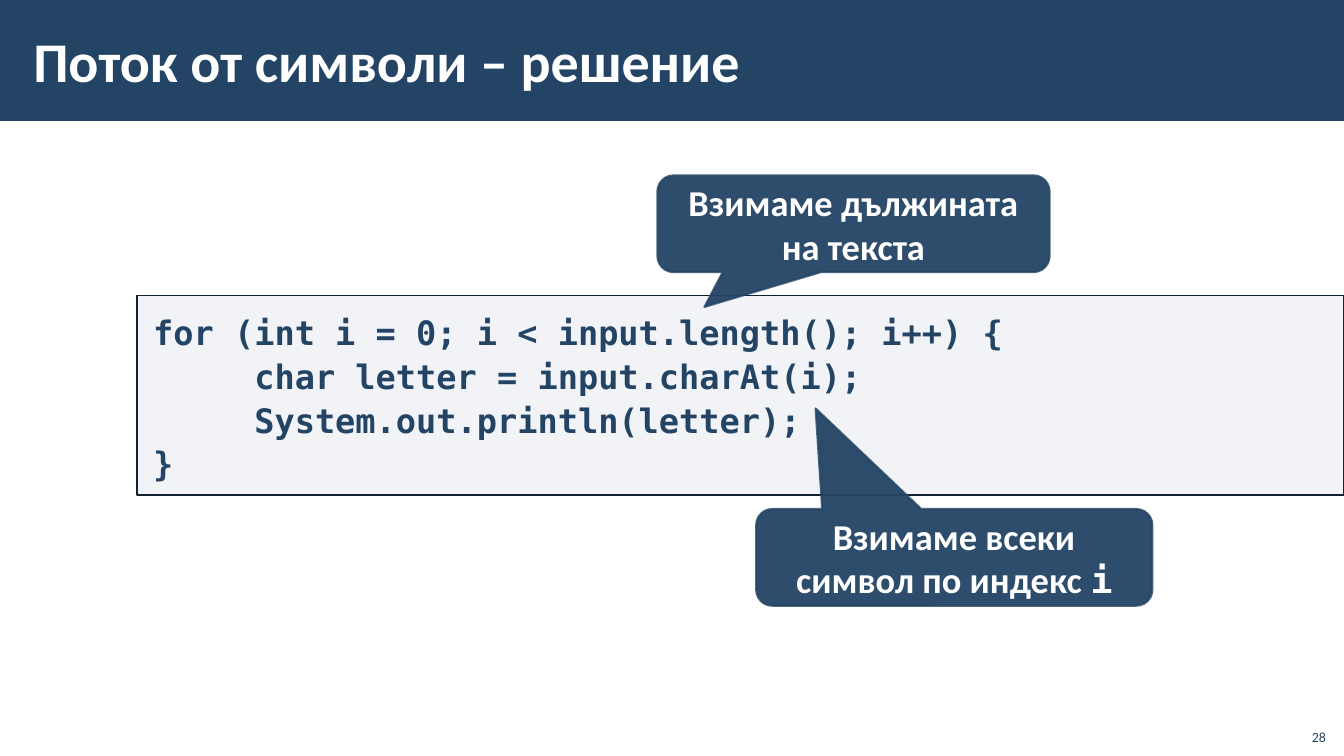
import dataclasses

import pptx
import pptx.dml.color
import pptx.enum.shapes
import pptx.enum.text
import pptx.oxml
import pptx.oxml.ns
import pptx.util
from pptx.util import Inches

ALIGN = pptx.enum.text.PP_ALIGN
ANCHOR = pptx.enum.text.MSO_ANCHOR
SHAPE = pptx.enum.shapes.MSO_SHAPE


@dataclasses.dataclass(frozen=True)
class Theme:
    navy: str = "234465"
    outline: str = "112233"
    code_fill: str = "ADB4C3"
    white: str = "FFFFFF"
    sans: str = "Calibri"
    mono: str = "DejaVu Sans Mono"
    title_size: int = 40
    callout_size: int = 26
    code_size: int = 24
    number_size: int = 10


THEME = Theme()

CODE_LINES = [
    "for (int i = 0; i < input.length(); i++) {",
    "     char letter = input.charAt(i);",
    "     System.out.println(letter);",
    "}",
]


def paint(color_format, color, opacity=100):
    """Set a solid fill's colour and its opacity in percent."""
    color_format.solid()
    color_format.fore_color.rgb = pptx.dml.color.RGBColor.from_string(color)
    if opacity < 100:
        solid = color_format._xPr.find(pptx.oxml.ns.qn("a:solidFill"))
        alpha = pptx.oxml.parse_xml(
            f'<a:alpha {pptx.oxml.ns.nsdecls("a")} val="{opacity * 1000}"/>')
        solid[0].append(alpha)


def style_span(span, size, color, family=THEME.sans, bold=True):
    span.font.size = pptx.util.Pt(size)
    span.font.name = family
    span.font.bold = bold
    span.font.color.rgb = pptx.dml.color.RGBColor.from_string(color)


def set_margins(frame, horizontal, vertical):
    frame.margin_left = frame.margin_right = Inches(horizontal)
    frame.margin_top = frame.margin_bottom = Inches(vertical)


def add_header(page, left, top, width, height, text):
    banner = page.shapes.add_shape(SHAPE.RECTANGLE, Inches(left), Inches(top),
                                   Inches(width), Inches(height))
    banner.shadow.inherit = False
    paint(banner.fill, THEME.navy)
    banner.line.fill.background()

    title = page.shapes.title
    title._element.addprevious(banner._element)
    title.left, title.top = Inches(left + 0.21), Inches(top + 0.11)
    title.width, title.height = Inches(10.63), Inches(height - 0.23)
    frame = title.text_frame
    frame.text = text
    frame.auto_size = pptx.enum.text.MSO_AUTO_SIZE.NONE
    frame.vertical_anchor = ANCHOR.MIDDLE
    set_margins(frame, 0.12, 0.04)
    para = frame.paragraphs[0]
    para.alignment = ALIGN.LEFT
    style_span(para.runs[0], THEME.title_size, THEME.white)


def add_callout(page, left, top, width, height, tail, spans):
    """Place a callout; tail is its tip, spans are (text, font) pairs."""
    callout = page.shapes.add_shape(SHAPE.ROUNDED_RECTANGULAR_CALLOUT,
                                    Inches(left), Inches(top),
                                    Inches(width), Inches(height))
    callout.shadow.inherit = False
    callout.adjustments[0], callout.adjustments[1] = tail
    paint(callout.fill, THEME.navy, 95)
    callout.line.width = pptx.util.Pt(1.5)
    paint(callout.line.fill, THEME.navy, 80)
    frame = callout.text_frame
    frame.word_wrap = True
    frame.vertical_anchor = ANCHOR.MIDDLE
    para = frame.paragraphs[0]
    para.alignment = ALIGN.CENTER
    for text, family in spans:
        span = para.add_run()
        span.text = text
        style_span(span, THEME.callout_size, THEME.white, family)


def add_code(page, left, top, width, height, lines):
    box = page.shapes.add_shape(SHAPE.RECTANGLE, Inches(left), Inches(top),
                                Inches(width), Inches(height))
    box.shadow.inherit = False
    paint(box.fill, THEME.code_fill, 15)
    box.line.width = pptx.util.Pt(1)
    paint(box.line.fill, THEME.outline)
    frame = box.text_frame
    frame.text = "\n".join(lines)
    frame.word_wrap = True
    frame.vertical_anchor = ANCHOR.TOP
    set_margins(frame, 0.16, 0.12)
    for para in frame.paragraphs:
        para.alignment = ALIGN.LEFT
        para.line_spacing = 1.1
        style_span(para.runs[0], THEME.code_size, THEME.navy, THEME.mono)
    frame.paragraphs[-1].line_spacing = 1.05


def add_page_number(page, left, top, width, height, number):
    box = page.shapes.add_textbox(Inches(left), Inches(top),
                                  Inches(width), Inches(height))
    frame = box.text_frame
    frame.text = str(number)
    frame.word_wrap = True
    frame.vertical_anchor = ANCHOR.BOTTOM
    para = frame.paragraphs[0]
    para.alignment = ALIGN.RIGHT
    style_span(para.runs[0], THEME.number_size, THEME.navy, bold=False)


def main():
    deck = pptx.Presentation()
    deck.slide_width, deck.slide_height = Inches(13.33), Inches(7.5)
    page = deck.slides.add_slide(deck.slide_layouts.get_by_name("Title Only"))
    add_header(page, 0, 0, 13.33, 1.2, "Поток от символи – решение")
    add_code(page, 1.36, 2.93, 11.97, 1.98, CODE_LINES)
    add_callout(page, 6.52, 1.74, 3.89, 0.96, (-0.38, 0.86),
                [("Взимаме дължината на текста", THEME.sans)])
    add_callout(page, 7.5, 5.05, 3.93, 0.96, (-0.35, -1.54),
                [("Взимаме всеки символ по индекс ", THEME.sans),
                 ("i", THEME.mono)])
    add_page_number(page, 12.85, 7.12, 0.4, 0.32, 28)
    deck.save("out.pptx")


if __name__ == "__main__":
    main()
